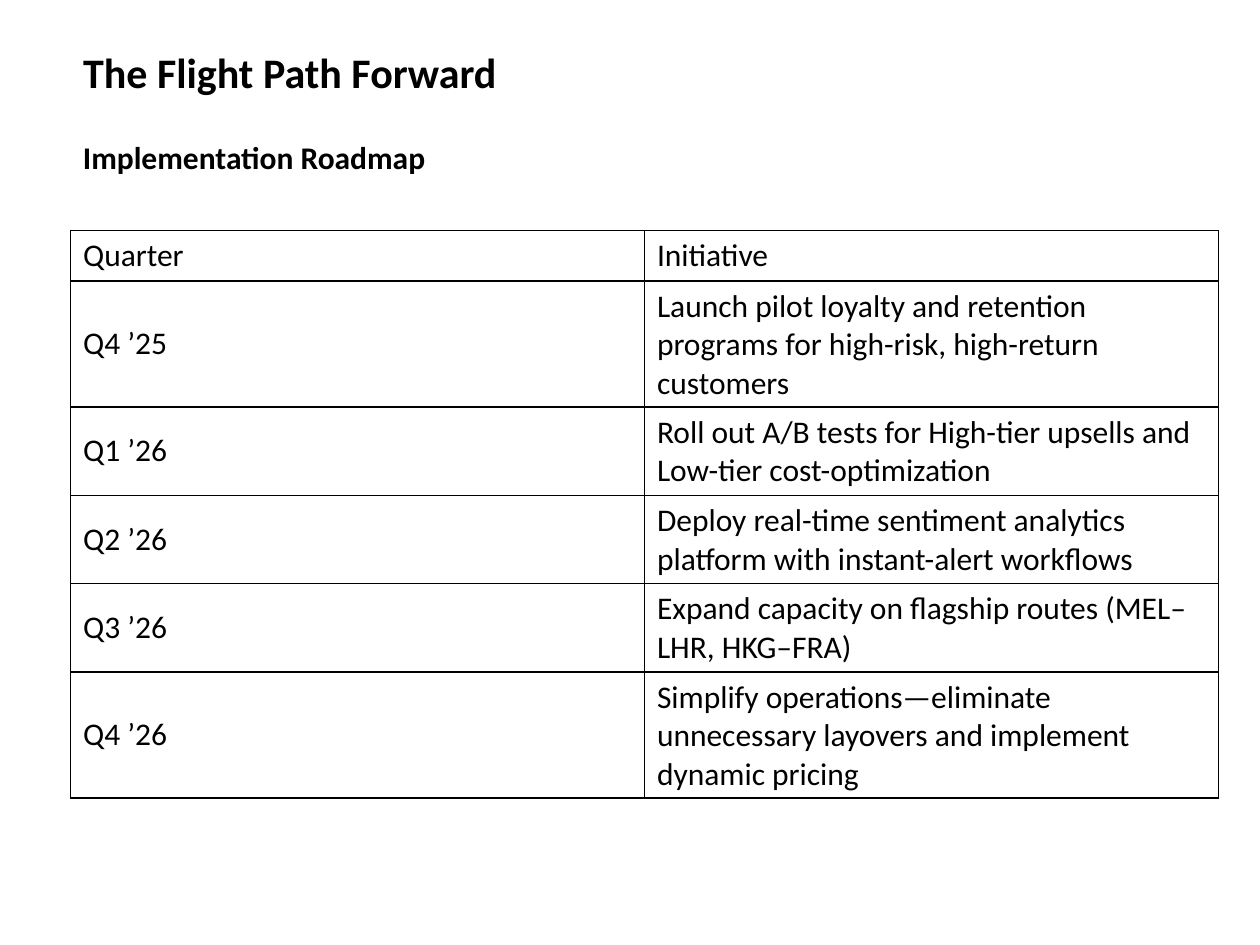
import dataclasses

import pptx
import pptx.dml.color
import pptx.enum.text
import pptx.oxml
import pptx.oxml.ns
import pptx.util


@dataclasses.dataclass(frozen=True)
class Theme:
    font: str = "Calibri"
    ink: str = "000000"
    paper: str = "FFFFFF"
    title_size: int = 24
    body_size: int = 18
    border_width: int = 1
    line_height: float = 0.3
    cell_padding: float = 0.1


class RoadmapSlide:
    def __init__(self, deck, theme):
        self.theme = theme
        self.width, self.height = deck.slide_width, deck.slide_height
        self.slide = deck.slides.add_slide(deck.slide_layouts[5])
        backdrop = self.slide.background.fill
        backdrop.solid()
        backdrop.fore_color.rgb = pptx.dml.color.RGBColor.from_string(theme.paper)

    def box(self, left, top, width, height):
        return (round(left * self.width), round(top * self.height),
                round(width * self.width), round(height * self.height))

    def set_wording(self, frame, wording, size, bold=False):
        frame.text = wording
        for paragraph in frame.paragraphs:
            paragraph.alignment = pptx.enum.text.PP_ALIGN.LEFT
            for run in paragraph.runs:
                run.font.name = self.theme.font
                run.font.size = pptx.util.Pt(size)
                run.font.bold = bold
                run.font.color.rgb = pptx.dml.color.RGBColor.from_string(self.theme.ink)

    def heading(self, frame, wording, size, wrap):
        self.set_wording(frame, wording, size, bold=True)
        frame.word_wrap = wrap
        frame.vertical_anchor = pptx.enum.text.MSO_ANCHOR.TOP
        frame.auto_size = pptx.enum.text.MSO_AUTO_SIZE.SHAPE_TO_FIT_TEXT

    def title(self, wording, *place):
        title = self.slide.shapes.title
        title.left, title.top, title.width, title.height = self.box(*place)
        self.heading(title.text_frame, wording, self.theme.title_size, True)

    def subtitle(self, wording, *place):
        subtitle = self.slide.shapes.add_textbox(*self.box(*place))
        self.heading(subtitle.text_frame, wording, self.theme.body_size, False)

    def border(self, cell):
        properties = cell._tc.get_or_add_tcPr()
        width = pptx.util.Pt(self.theme.border_width)
        for position, side in enumerate(("lnL", "lnR", "lnT", "lnB")):
            properties.insert(position, pptx.oxml.parse_xml(
                f'<a:{side} {pptx.oxml.ns.nsdecls("a")} w="{width}"><a:solidFill>'
                f'<a:srgbClr val="{self.theme.ink}"/></a:solidFill></a:{side}>'))

    def table(self, entries, line_counts, left, top, width):
        heights = [pptx.util.Inches(self.theme.cell_padding + self.theme.line_height * lines)
                   for lines in line_counts]
        place = self.box(left, top, width, sum(heights) / self.height)
        roadmap = self.slide.shapes.add_table(len(entries), len(entries[0]), *place).table
        roadmap.first_row = roadmap.horz_banding = False
        for row, height, wordings in zip(roadmap.rows, heights, entries):
            row.height = height
            for cell, wording in zip(row.cells, wordings):
                self.set_wording(cell.text_frame, wording, self.theme.body_size)
                cell.vertical_anchor = pptx.enum.text.MSO_ANCHOR.MIDDLE
                cell.fill.background()
                self.border(cell)


def main():
    deck = pptx.Presentation()
    deck.slide_width = pptx.util.Inches(10)
    deck.slide_height = pptx.util.Inches(7.5)
    page = RoadmapSlide(deck, Theme())
    margin = 0.056
    page.title("The Flight Path Forward", margin, 0.042, 0.533, 0.067)
    initiatives = [
        ("Quarter", "Initiative"),
        ("Q4 ’25", "Launch pilot loyalty and retention programs for high-risk, high-return customers"),
        ("Q1 ’26", "Roll out A/B tests for High-tier upsells and Low-tier cost-optimization"),
        ("Q2 ’26", "Deploy real-time sentiment analytics platform with instant-alert workflows"),
        ("Q3 ’26", "Expand capacity on flagship routes (MEL–LHR, HKG–FRA)"),
        ("Q4 ’26", "Simplify operations—eliminate unnecessary layovers and implement dynamic pricing"),
    ]
    page.table(initiatives, (1, 3, 2, 2, 2, 3), margin, 0.244, 0.911)
    page.subtitle("Implementation Roadmap", margin, 0.139, 0.294, 0.054)
    deck.save("out.pptx")


if __name__ == "__main__":
    main()
